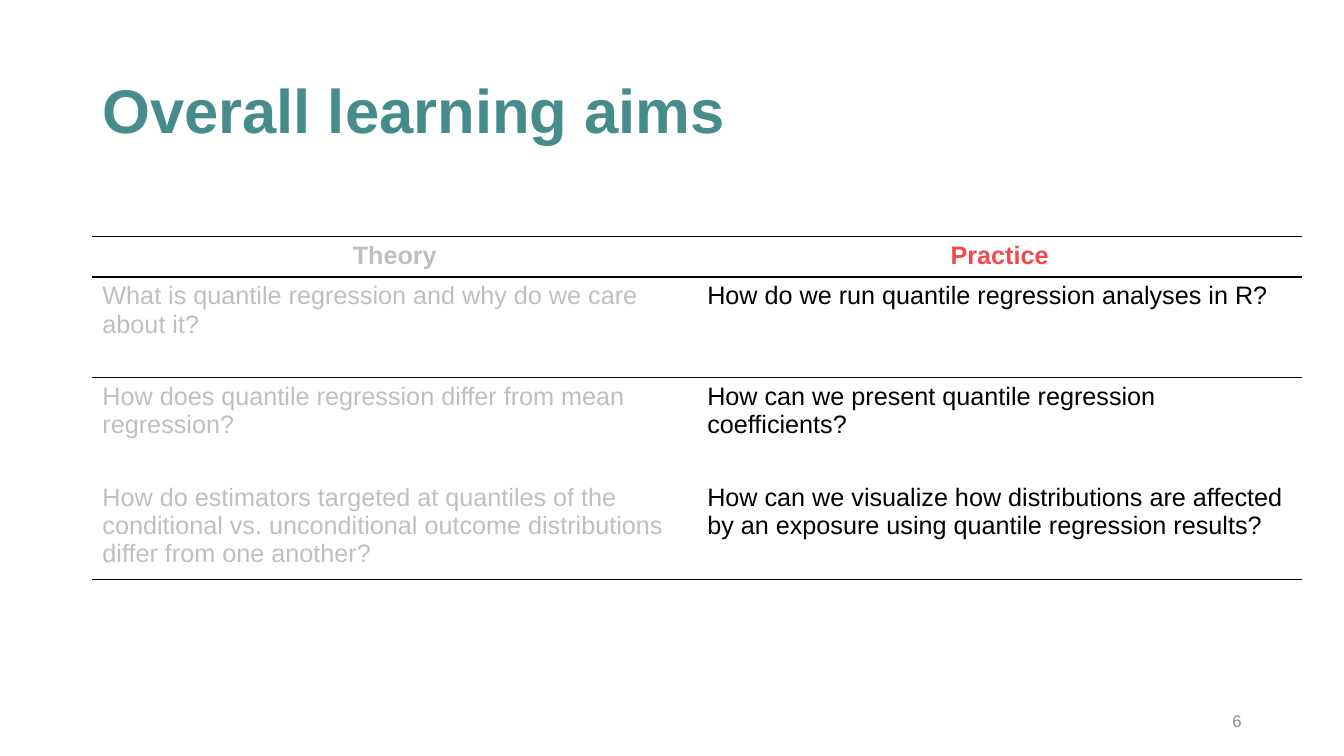
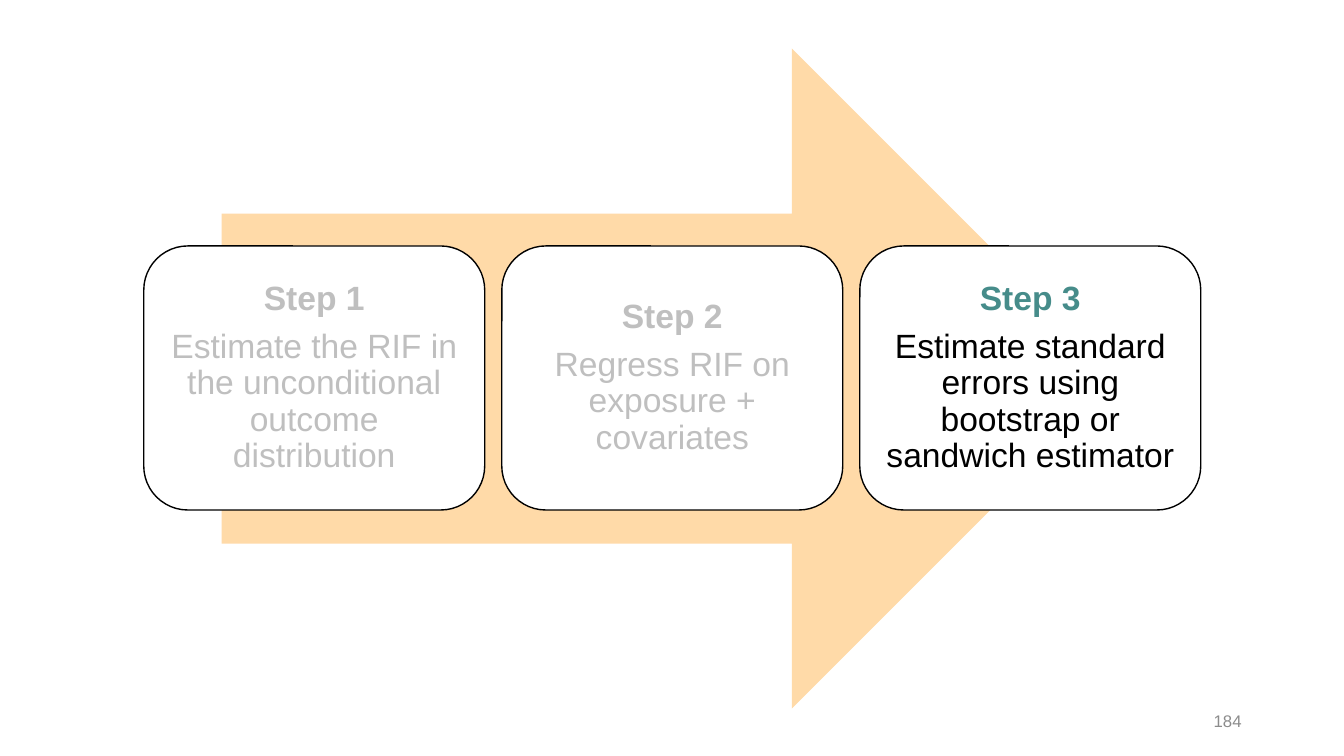
from dataclasses import dataclass

from lxml.etree import SubElement
from pptx import Presentation
from pptx.dml.color import RGBColor
from pptx.enum.shapes import MSO_SHAPE
from pptx.enum.text import MSO_ANCHOR, PP_ALIGN
from pptx.oxml import parse_xml
from pptx.oxml.ns import nsdecls, qn
from pptx.util import Pt


@dataclass(frozen=True)
class Theme:
    font: str = "Arial"
    teal: str = "468C8A"
    red: str = "F2494C"
    muted: str = "BFBFBF"
    footer: str = "8C8C8C"
    black: str = "000000"
    white: str = "FFFFFF"
    orange: str = "FF9300"
    title_size: float = 44
    step_size: float = 24
    table_size: float = 18
    footer_size: float = 12
    rule_width: float = 1


THEME = Theme()
SLIDE_WIDTH, SLIDE_HEIGHT = 960, 540
TITLE_BOX = (66, 28.8, 828, 104.4)
NUMBER_BOX = (678, 500.5, 216, 28.75)
TABLE_BOX = (66, 169, 864, 244.8)
ARROW_BOX = (158.4, 34.6, 643, 471.6)
STEPS_BOX = (102.7, 175.7, 755, 188.6)
HEADER_HEIGHT = 28.8
STEP_GAP = 12.2
ARROW_OPACITY = 34

AIMS = [
    ("Theory", "Practice"),
    ("What is quantile regression and why do we care about it?",
     "How do we run quantile regression analyses in R?"),
    ("How does quantile regression differ from mean regression?",
     "How can we present quantile regression coefficients?"),
    ("How do estimators targeted at quantiles of the conditional vs. "
     "unconditional outcome distributions differ from one another?",
     "How can we visualize how distributions are affected by an exposure "
     "using quantile regression results?"),
]
RULED_EDGES = {0, 1, 2, len(AIMS)}

STEPS = [
    ("Step 1", "Estimate the RIF in the unconditional outcome distribution",
     THEME.muted, THEME.muted),
    ("Step 2", "Regress RIF on exposure + covariates",
     THEME.muted, THEME.muted),
    ("Step 3", "Estimate standard errors using bootstrap or sandwich estimator",
     THEME.teal, THEME.black),
]


def points(box):
    return [Pt(length) for length in box]


def add_run(paragraph, text, size, color, bold=False):
    run = paragraph.add_run()
    run.text = text
    run.font.name = THEME.font
    run.font.size = Pt(size)
    run.font.bold = bold
    run.font.color.rgb = RGBColor.from_string(color)


def add_text_line(slide, box, text, size, color, bold=False,
                  alignment=PP_ALIGN.LEFT, line_spacing=1.0):
    frame = slide.shapes.add_textbox(*points(box)).text_frame
    frame.word_wrap = True
    frame.vertical_anchor = MSO_ANCHOR.MIDDLE
    paragraph = frame.paragraphs[0]
    paragraph.alignment = alignment
    paragraph.line_spacing = line_spacing
    add_run(paragraph, text, size, color, bold)


def add_title(slide, box, text):
    add_text_line(slide, box, text, THEME.title_size, THEME.teal,
                  bold=True, line_spacing=0.9)


def add_slide_number(slide, box, number):
    add_text_line(slide, box, str(number), THEME.footer_size, THEME.footer,
                  alignment=PP_ALIGN.RIGHT)


def set_cell_borders(cell, top, bottom):
    properties = cell._tc.get_or_add_tcPr()
    sides = (("lnL", False), ("lnR", False), ("lnT", top), ("lnB", bottom))
    for position, (side, ruled) in enumerate(sides):
        paint = (f'<a:solidFill><a:srgbClr val="{THEME.black}"/></a:solidFill>'
                 if ruled else "<a:noFill/>")
        border = parse_xml(
            f'<a:{side} {nsdecls("a")} w="{Pt(THEME.rule_width)}">{paint}</a:{side}>')
        properties.insert(position, border)


def add_aims_table(slide, box, rows):
    table = slide.shapes.add_table(len(rows), len(rows[0]), *points(box)).table
    table.first_row = False
    table.horz_banding = False
    body_height = (box[3] - HEADER_HEIGHT) / (len(rows) - 1)
    for column in table.columns:
        column.width = Pt(box[2] / len(rows[0]))
    for row_index, row in enumerate(rows):
        header = row_index == 0
        table.rows[row_index].height = Pt(HEADER_HEIGHT if header else body_height)
        colors = (THEME.muted, THEME.red if header else THEME.black)
        for column_index, (text, color) in enumerate(zip(row, colors)):
            cell = table.cell(row_index, column_index)
            cell.fill.background()
            set_cell_borders(cell, row_index in RULED_EDGES,
                             row_index + 1 in RULED_EDGES)
            paragraph = cell.text_frame.paragraphs[0]
            paragraph.alignment = PP_ALIGN.CENTER if header else PP_ALIGN.LEFT
            add_run(paragraph, text, THEME.table_size, color, bold=header)


def add_filled_shape(slide, kind, box, color):
    shape = slide.shapes.add_shape(kind, *points(box))
    shape.shadow.inherit = False
    shape.fill.solid()
    shape.fill.fore_color.rgb = RGBColor.from_string(color)
    return shape


def add_arrow(slide, box):
    arrow = add_filled_shape(slide, MSO_SHAPE.RIGHT_ARROW, box, THEME.orange)
    arrow.line.fill.background()
    color = arrow._element.spPr.find(qn("a:solidFill")).find(qn("a:srgbClr"))
    SubElement(color, qn("a:alpha")).set("val", str(ARROW_OPACITY * 1000))


def add_step(slide, box, heading, description, heading_color, description_color):
    card = add_filled_shape(slide, MSO_SHAPE.ROUNDED_RECTANGLE, box, THEME.white)
    card.line.color.rgb = RGBColor.from_string(THEME.black)
    card.line.width = Pt(THEME.rule_width)
    frame = card.text_frame
    frame.word_wrap = True
    frame.vertical_anchor = MSO_ANCHOR.MIDDLE
    frame.margin_left = frame.margin_right = Pt(7.2)
    frame.margin_top = frame.margin_bottom = Pt(7.2)
    lines = ((frame.paragraphs[0], heading, heading_color, True),
             (frame.add_paragraph(), description, description_color, False))
    for paragraph, text, color, bold in lines:
        paragraph.alignment = PP_ALIGN.CENTER
        paragraph.line_spacing = 0.9
        paragraph.space_after = Pt(0.35 * THEME.step_size)
        add_run(paragraph, text, THEME.step_size, color, bold)


def add_steps(slide, box, steps):
    left, top, width, height = box
    card_width = (width - STEP_GAP * (len(steps) - 1)) / len(steps)
    for index, step in enumerate(steps):
        card_left = left + index * (card_width + STEP_GAP)
        add_step(slide, (card_left, top, card_width, height), *step)


def add_blank_slide(presentation, number):
    slide = presentation.slides.add_slide(presentation.slide_layouts[6])
    add_slide_number(slide, NUMBER_BOX, number)
    return slide


def build_aims_slide(presentation):
    slide = add_blank_slide(presentation, 6)
    add_title(slide, TITLE_BOX, "Overall learning aims")
    add_aims_table(slide, TABLE_BOX, AIMS)


def build_steps_slide(presentation):
    slide = add_blank_slide(presentation, 184)
    add_arrow(slide, ARROW_BOX)
    add_steps(slide, STEPS_BOX, STEPS)


def main():
    presentation = Presentation()
    presentation.slide_width = Pt(SLIDE_WIDTH)
    presentation.slide_height = Pt(SLIDE_HEIGHT)
    build_aims_slide(presentation)
    build_steps_slide(presentation)
    presentation.save("out.pptx")


if __name__ == "__main__":
    main()
